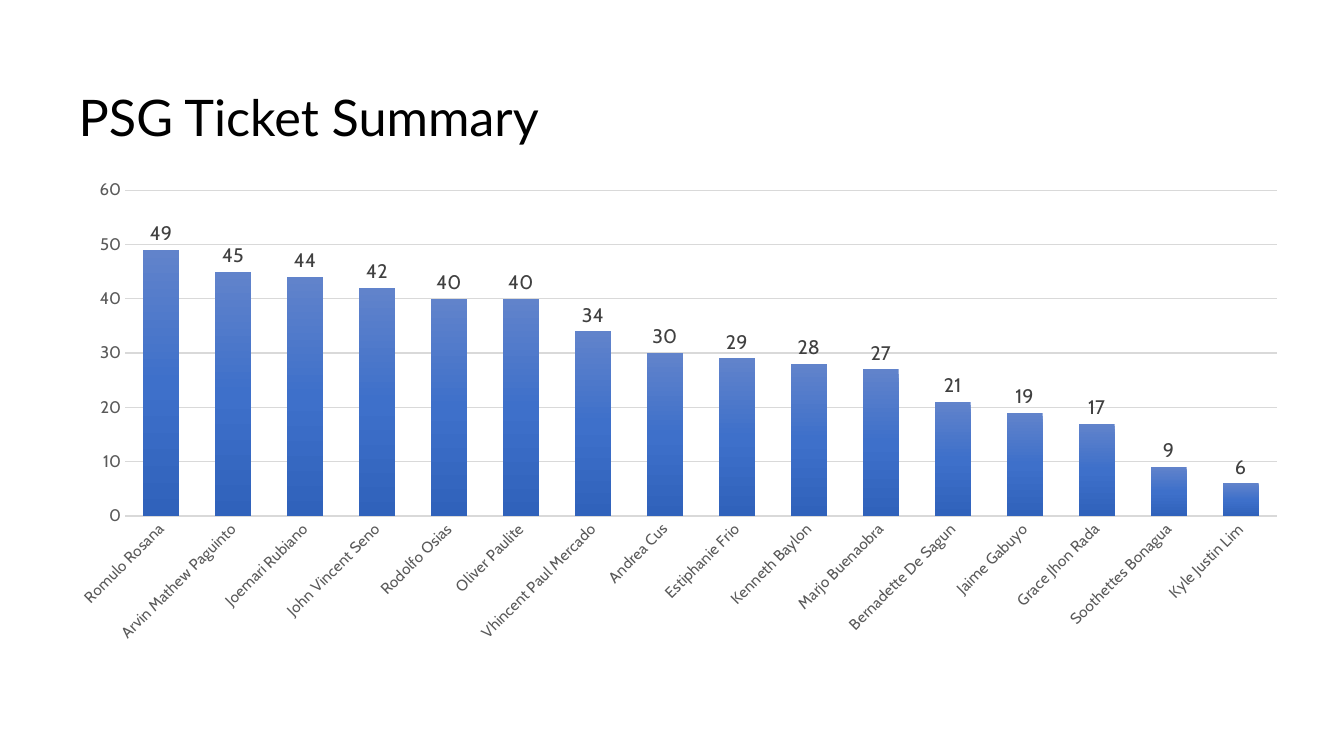
from pptx import Presentation
from pptx.chart.data import CategoryChartData
from pptx.dml.color import RGBColor
from pptx.enum.chart import XL_CHART_TYPE, XL_LABEL_POSITION as LABEL_POS, XL_TICK_MARK
from pptx.enum.text import MSO_ANCHOR, MSO_AUTO_SIZE, PP_ALIGN
from pptx.oxml import parse_xml
from pptx.oxml.ns import nsdecls, qn
from pptx.util import Pt

COLORS = {
    "title": "000000", "label": "404040", "axis": "595959", "grid": "D9D9D9",
    "bar_top": "6183CB", "bar_mid": "3E70CA", "bar_base": "3062BB",
}
TICKETS = [
    ("Romulo Rosana", 49), ("Arvin Mathew Paguinto", 45), ("Joemari Rubiano", 44),
    ("John Vincent Seno", 42), ("Rodolfo Osias", 40), ("Oliver Paulite", 40),
    ("Vhincent Paul Mercado", 34), ("Andrea Cus", 30), ("Estiphanie Frio", 29),
    ("Kenneth Baylon", 28), ("Marjo Buenaobra", 27), ("Bernadette De Sagun", 21),
    ("Jaime Gabuyo", 19), ("Grace Jhon Rada", 17), ("Soothettes Bonagua", 9),
    ("Kyle Justin Lim", 6),
]


def set_font(font, name, size, color):
    font.name, font.size, font.bold = name, Pt(size), False
    font.color.rgb = RGBColor.from_string(COLORS[color])


def set_line(line, width):
    line.width = Pt(width)
    line.color.rgb = RGBColor.from_string(COLORS["grid"])


prs = Presentation()
prs.slide_width, prs.slide_height = Pt(960), Pt(540)
s = prs.slides.add_slide(prs.slide_layouts[5])

# Title
title = s.shapes.title
title.left, title.top, title.width, title.height = Pt(49), Pt(57.6), Pt(369.4), Pt(51.1)
tf = title.text_frame
tf.word_wrap = False
tf.auto_size = MSO_AUTO_SIZE.SHAPE_TO_FIT_TEXT
tf.vertical_anchor = MSO_ANCHOR.TOP
p = tf.paragraphs[0]
p.alignment = PP_ALIGN.LEFT
r = p.add_run()
r.text = "PSG Ticket Summary"
set_font(r.font, "Lato", 36, "title")

# Column chart
data = CategoryChartData()
data.categories = [name for name, count in TICKETS]
data.add_series("Series 1", [count for name, count in TICKETS])
chart = s.shapes.add_chart(XL_CHART_TYPE.COLUMN_CLUSTERED, Pt(39.6), Pt(121.7),
                           Pt(889.2), Pt(343.4), data).chart
chart.has_legend = False
chart.has_title = False
set_font(chart.font, "Cabin", 12, "title")

plot = chart.plots[0]
plot.gap_width, plot.overlap, plot.vary_by_categories = 100, -24, False

# Plot area as fractions of the chart
plot_area = chart._chartSpace.chart.plotArea
for old in plot_area.findall(qn("c:layout")):
    plot_area.remove(old)
fractions = {"x": 0.056, "y": 0.041, "w": 0.925, "h": 0.678}
parts = "".join(f'<c:{key} val="{val}"/>' for key, val in fractions.items())
plot_area.insert(0, parse_xml(
    f'<c:layout {nsdecls("c")}><c:manualLayout><c:layoutTarget val="inner"/>'
    f'<c:xMode val="edge"/><c:yMode val="edge"/>{parts}</c:manualLayout></c:layout>'))

# Bars fade from top to base
stops = "".join(
    f'<a:gs pos="{pos}"><a:srgbClr val="{COLORS[key]}"/></a:gs>'
    for pos, key in [(0, "bar_top"), (50000, "bar_mid"), (100000, "bar_base")])
plot.series[0]._element.get_or_add_spPr().append(parse_xml(
    f'<a:gradFill {nsdecls("a")} rotWithShape="1"><a:gsLst>{stops}</a:gsLst>'
    '<a:lin ang="5400000" scaled="0"/></a:gradFill>'))

# Value labels
labels = plot.series[0].data_labels
labels.show_value = True
labels.position = LABEL_POS.OUTSIDE_END
set_font(labels.font, "Cabin", 14, "label")

# Axes
names, counts = chart.category_axis, chart.value_axis
for axis, size in [(names, 11), (counts, 12)]:
    axis.major_tick_mark = axis.minor_tick_mark = XL_TICK_MARK.NONE
    set_font(axis.tick_labels.font, "Cabin", size, "axis")
set_line(names.format.line, 1)
names._element.txPr.find(qn("a:bodyPr")).set("rot", "-2700000")
counts.minimum_scale, counts.maximum_scale, counts.major_unit = 0, 60, 10
counts.format.line.fill.background()
counts.has_major_gridlines = True
set_line(counts.major_gridlines.format.line, 0.75)

prs.save("out.pptx")
